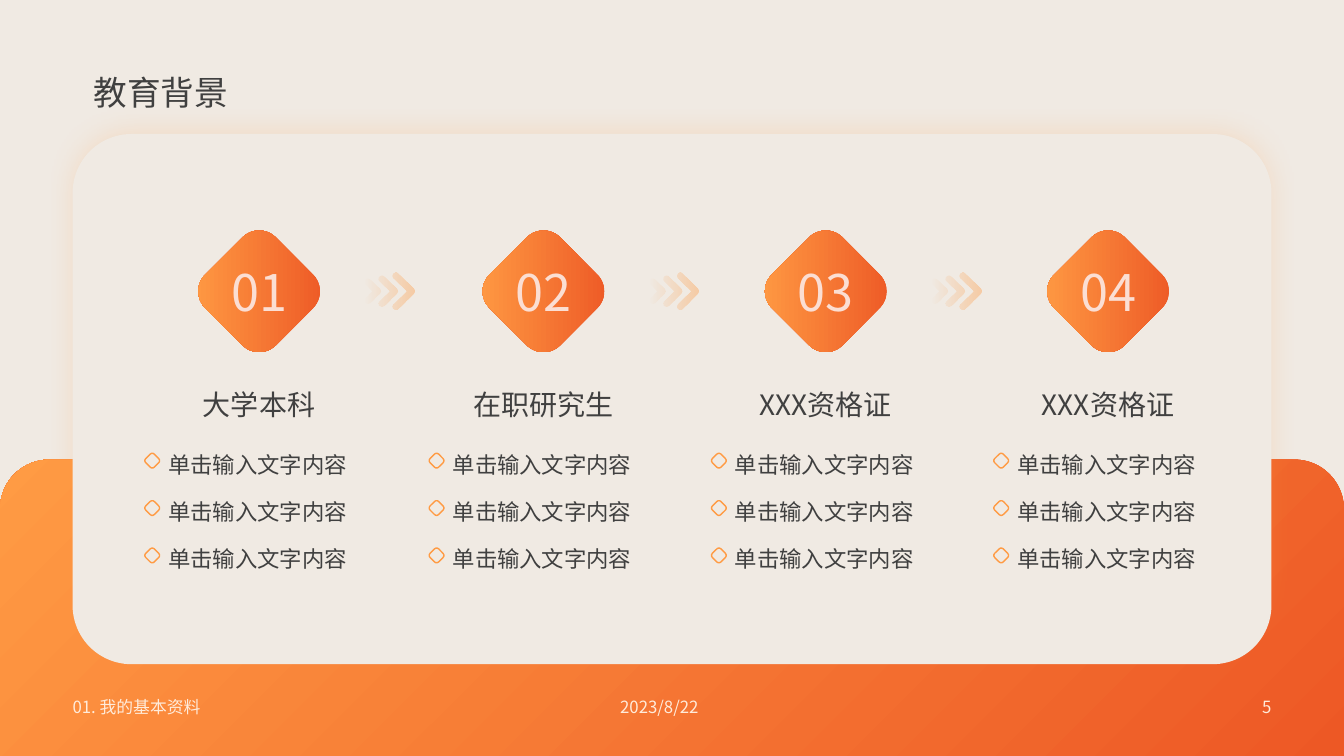
from math import cos, radians, sin, sqrt

from lxml import etree
from pptx import Presentation
from pptx.dml.color import RGBColor
from pptx.enum.shapes import MSO_SHAPE
from pptx.enum.text import MSO_ANCHOR, PP_ALIGN
from pptx.oxml.ns import qn
from pptx.util import Inches, Pt

ROUNDED, TOP_ROUNDED = MSO_SHAPE.ROUNDED_RECTANGLE, MSO_SHAPE.ROUND_2_SAME_RECTANGLE
LEFT, CENTER, RIGHT = PP_ALIGN.LEFT, PP_ALIGN.CENTER, PP_ALIGN.RIGHT
TOP, MIDDLE = MSO_ANCHOR.TOP, MSO_ANCHOR.MIDDLE

# Content
TITLE = "教育背景"
STAGES = [
    ("01", "大学本科", ["单击输入文字内容"] * 3),
    ("02", "在职研究生", ["单击输入文字内容"] * 3),
    ("03", "XXX资格证", ["单击输入文字内容"] * 3),
    ("04", "XXX资格证", ["单击输入文字内容"] * 3),
]
FOOTERS = [  # text, left, width, alignment
    ("2023/8/22", 5.04, 3, CENTER),
    ("01. 我的基本资料", 0.72, 2.75, LEFT),
    ("5", 9.61, 3, RIGHT),
]

# Style
FONT = "Noto Sans CJK SC"
COLORS = {
    "cream": "F0EAE3", "ember": "ED5825", "orange": "FF9B44",
    "ink": "404040", "number": "FBDED3", "footer": "FFEBDA",
}

# Layout, in inches
STAGE_CENTERS = [2.57, 5.39, 8.19, 10.99]
STAGE_MIDDLE = 2.89
DIAMOND = 0.99
BULLET = 0.12
BULLET_OFFSET, ITEM_OFFSET = -1.06, -0.9
ITEM_TOP, ITEM_PITCH = 4.42, 0.47
ARROW_OFFSET = 1.05
CHEVRON_ARMS = [0.09, 0.12, 0.15]
CHEVRON_STEP = 0.135
CHEVRON_RADIUS = 0.035


def rgb(name):
    return RGBColor.from_string(COLORS[name])


def set_alpha(color_element, percent):
    etree.SubElement(color_element, qn("a:alpha"), val=str(percent * 1000))


def fill_gradient(shape, start, end, angle):
    """Fill with two colours; the angle runs counter-clockwise."""
    shape.fill.gradient()
    shape.fill.gradient_angle = angle
    for stop, name in zip(shape.fill.gradient_stops, (start, end)):
        stop.color.rgb = rgb(name)


def add_panel(kind, left, top, width, height, corner, fill=None):
    panel = slide.shapes.add_shape(
        kind, Inches(left), Inches(top), Inches(width), Inches(height))
    panel.adjustments[0] = corner
    panel.shadow.inherit = False
    panel.line.fill.background()
    if fill:
        panel.fill.solid()
        panel.fill.fore_color.rgb = rgb(fill)
    else:
        panel.fill.background()
    return panel


def add_diamond(center_x, center_y, size):
    diamond = add_panel(ROUNDED, center_x - size / 2, center_y - size / 2, size, size, 0.236)
    diamond.rotation = 45
    return diamond


def write(frame, text, size, color, align=LEFT, anchor=TOP, wrap=True, spacing=None):
    frame.margin_left = frame.margin_right = frame.margin_top = frame.margin_bottom = 0
    frame.word_wrap = wrap
    frame.vertical_anchor = anchor
    paragraph = frame.paragraphs[0]
    paragraph.alignment = align
    if spacing:
        paragraph.line_spacing = spacing
    run = paragraph.add_run()
    run.text = text
    run.font.size = Pt(size)
    run.font.name = FONT
    run.font.color.rgb = rgb(color)
    etree.SubElement(run.font._element, qn("a:ea"), typeface=FONT)


def add_label(text, left, top, width, height, **style):
    box = slide.shapes.add_textbox(Inches(left), Inches(top), Inches(width), Inches(height))
    write(box.text_frame, text, **style)


def arc(x, y, start, end):
    return [(x + CHEVRON_RADIUS * cos(radians(a)), y + CHEVRON_RADIUS * sin(radians(a)))
            for a in range(start, end, 15 if end > start else -15)]


def chevron_outline(left, middle, arm):
    x = left + CHEVRON_RADIUS
    points = arc(x, middle - arm, 135, 330)
    points += arc(x + arm, middle, -45, 60)
    points += arc(x, middle + arm, 45, 240)
    points.append((x + arm - CHEVRON_RADIUS * sqrt(2), middle))
    return [(Inches(px), Inches(py)) for px, py in points]


def add_arrow(left, middle):
    outlines = [chevron_outline(left + i * CHEVRON_STEP, middle, arm)
                for i, arm in enumerate(CHEVRON_ARMS)]
    builder = slide.shapes.build_freeform(*outlines[0][0])
    for outline in outlines:
        builder.move_to(*outline[0])
        builder.add_line_segments(outline[1:], close=True)
    arrow = builder.convert_to_shape()
    arrow.shadow.inherit = False
    arrow.line.fill.background()
    fill_gradient(arrow, "orange", "orange", 0)
    for color, percent in zip(arrow._element.spPr.iter(qn("a:srgbClr")), (0, 40)):
        set_alpha(color, percent)


prs = Presentation()
prs.slide_width, prs.slide_height = Inches(13.33), Inches(7.5)
slide = prs.slides.add_slide(prs.slide_layouts[5])
slide.background.fill.solid()
slide.background.fill.fore_color.rgb = rgb("cream")

# Orange base, soft glow and card
base = add_panel(TOP_ROUNDED, 0, 4.56, 13.33, 2.94, 0.167)
fill_gradient(base, "ember", "orange", 135)
glow = add_panel(ROUNDED, 0.45, 1.03, 12.44, 5.54, 0.091, "orange")
set_alpha(next(glow._element.spPr.iter(qn("a:srgbClr"))), 30)
effects = glow._element.spPr.find(qn("a:effectLst"))
etree.SubElement(effects, qn("a:softEdge"), rad=str(Inches(0.35)))
add_panel(ROUNDED, 0.72, 1.33, 11.89, 5.26, 0.111, "cream")

# Arrows between stages
for center in STAGE_CENTERS[:-1]:
    add_arrow(center + ARROW_OFFSET, STAGE_MIDDLE)

# Stages
for center, (number, heading, items) in zip(STAGE_CENTERS, STAGES):
    diamond = add_diamond(center, STAGE_MIDDLE, DIAMOND)
    fill_gradient(diamond, "ember", "orange", 225)
    add_label(number, center - 0.36, 2.59, 0.72, 0.61, size=36, color="number", align=CENTER)
    add_label(heading, center - 0.73, 3.84, 1.46, 0.34,
              size=20, color="ink", align=CENTER, wrap=False)
    for row, item in enumerate(items):
        top = ITEM_TOP + row * ITEM_PITCH
        bullet = add_diamond(center + BULLET_OFFSET, top + 0.15, BULLET)
        bullet.line.color.rgb = rgb("orange")
        bullet.line.width = Pt(1)
        add_label(item, center + ITEM_OFFSET, top, 1.8, 0.3,
                  size=16, color="ink", wrap=False, spacing=1.2)

# Title, brought in front of the glow
title = slide.shapes.title
title.left, title.top, title.width, title.height = map(Inches, (0.93, 0.71, 4.72, 0.4))
write(title.text_frame, TITLE, 24, "ink", anchor=MIDDLE, wrap=False)
slide.shapes._spTree.append(title._element)

# Footer
for text, left, width, align in FOOTERS:
    add_label(text, left, 6.91, width, 0.2, size=12, color="footer", align=align, anchor=MIDDLE)

prs.save("out.pptx")
